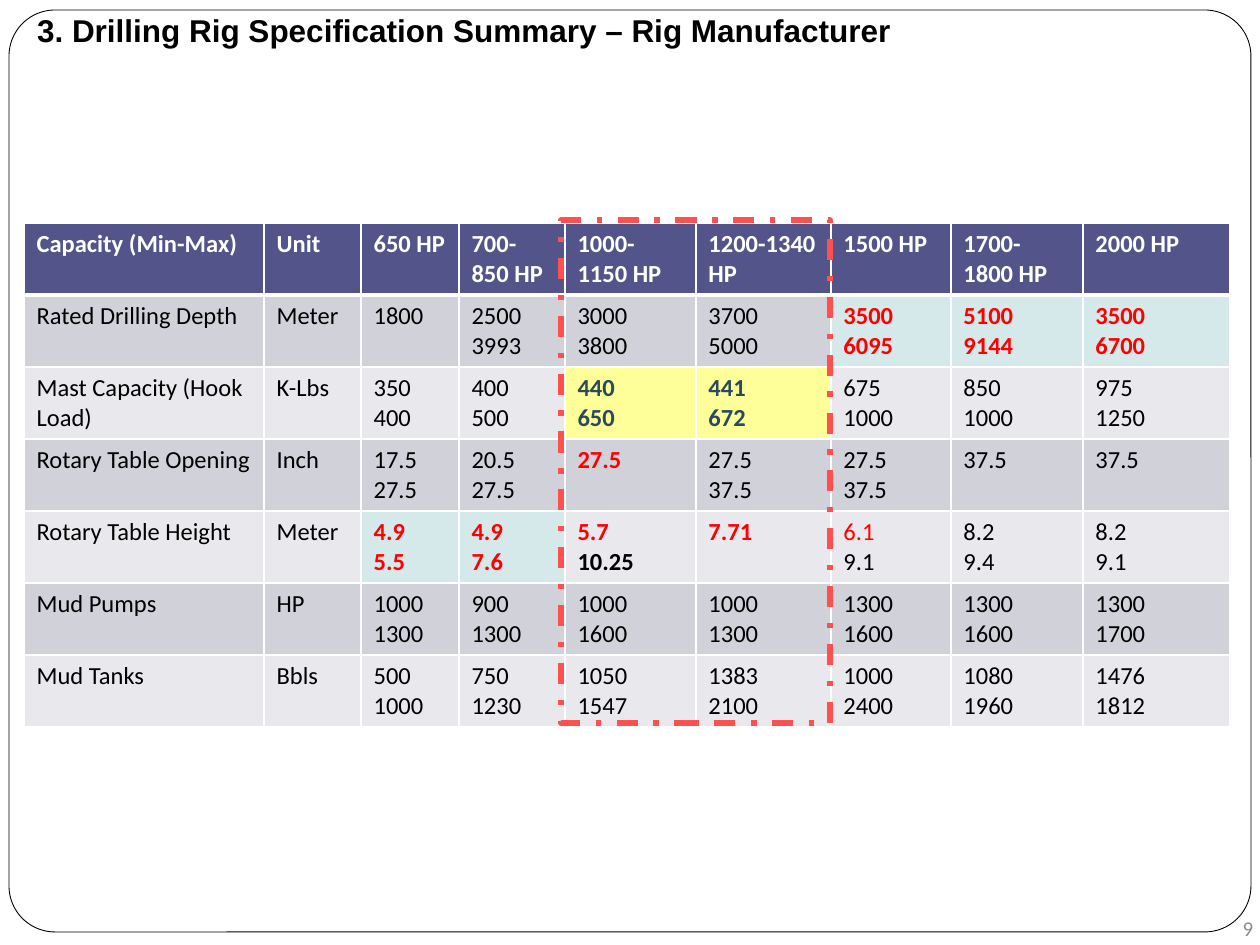
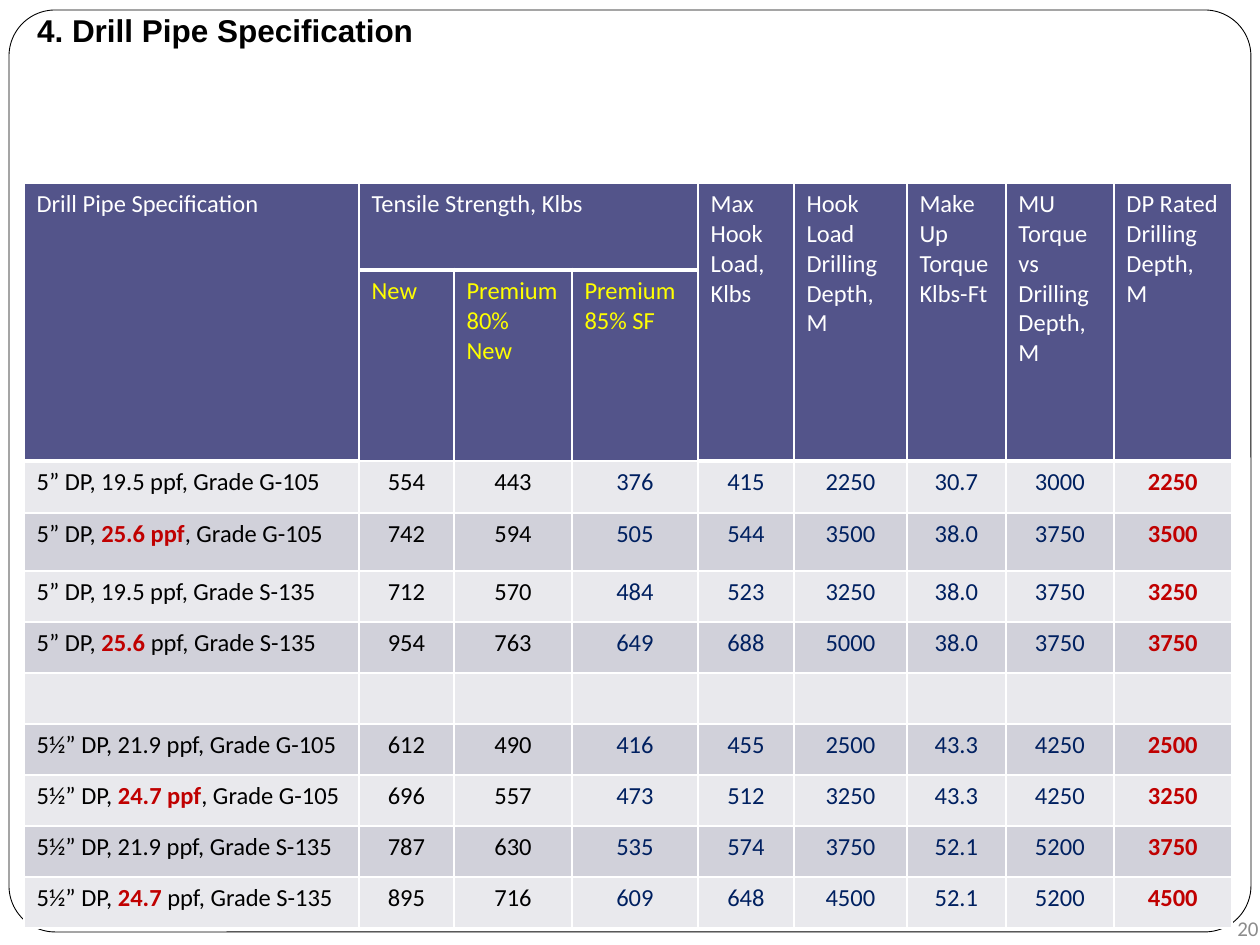
from lxml import etree
from pptx import Presentation
from pptx.dml.color import RGBColor
from pptx.enum.dml import MSO_LINE
from pptx.enum.shapes import MSO_SHAPE
from pptx.enum.text import MSO_ANCHOR, MSO_AUTO_SIZE, PP_ALIGN
from pptx.oxml.ns import qn
from pptx.util import Pt

EMU_PER_PX = 914400 / 126

WHITE = RGBColor(0xFF, 0xFF, 0xFF)
BLACK = RGBColor(0x00, 0x00, 0x00)
GREY = RGBColor(0x8C, 0x8C, 0x8C)
INDIGO = RGBColor(0x53, 0x54, 0x8A)
BAND_DARK = RGBColor(0xD1, 0xD1, 0xDA)
BAND_LIGHT = RGBColor(0xE9, 0xE9, 0xED)
TEAL = RGBColor(0xD6, 0xE9, 0xEA)
PALE_YELLOW = RGBColor(0xFF, 0xFF, 0x99)
YELLOW = RGBColor(0xFF, 0xFF, 0x00)
RED = RGBColor(0xFF, 0x00, 0x00)
CORAL = RGBColor(0xFF, 0x50, 0x50)
CRIMSON = RGBColor(0xC0, 0x00, 0x00)
SLATE = RGBColor(0x2B, 0x4A, 0x5E)
NAVY = RGBColor(0x00, 0x20, 0x60)

RIG_WIDTHS = [240, 97, 98, 106, 131, 135, 120, 132, 147]
RIG_ROWS = [
    ["Capacity (Min-Max)", "Unit", "650 HP", "700-850 HP", "1000-1150 HP",
     "1200-1340 HP", "1500 HP", "1700-1800 HP", "2000 HP"],
    ["Rated Drilling Depth", "Meter", "1800", "2500\n3993", "3000\n3800",
     "3700\n5000", "3500\n6095", "5100\n9144", "3500\n6700"],
    ["Mast Capacity (Hook Load)", "K-Lbs", "350\n400", "400\n500", "440\n650",
     "441\n672", "675\n1000", "850\n1000", "975\n1250"],
    ["Rotary Table Opening", "Inch", "17.5\n27.5", "20.5\n27.5", "27.5",
     "27.5\n37.5", "27.5\n37.5", "37.5", "37.5"],
    ["Rotary Table Height", "Meter", "4.9\n5.5", "4.9\n7.6", "5.7\n10.25",
     "7.71", "6.1\n9.1", "8.2\n9.4", "8.2\n9.1"],
    ["Mud Pumps", "HP", "1000\n1300", "900\n1300", "1000\n1600",
     "1000\n1300", "1300\n1600", "1300\n1600", "1300\n1700"],
    ["Mud Tanks", "Bbls", "500\n1000", "750\n1230", "1050\n1547",
     "1383\n2100", "1000\n2400", "1080\n1960", "1476\n1812"],
]
TEAL_CELLS = {(1, 6), (1, 7), (1, 8), (4, 2), (4, 3)}
YELLOW_CELLS = {(2, 4), (2, 5)}
RED_CELLS = {(3, 4), (4, 5)}

PIPE_WIDTHS = [335, 95, 118, 126, 96, 113, 99, 108, 118]
PIPE_HEIGHTS = [87, 191, 52, 58] + [51] * 7
# Text between asterisks is accented.
PIPE_ROWS = [
    ["Drill Pipe Specification", "Tensile Strength, Klbs", "", "",
     "Max Hook Load, Klbs", "Hook Load Drilling Depth, M",
     "Make Up Torque Klbs-Ft", "MU Torque vs Drilling Depth, M",
     "DP Rated Drilling Depth, M"],
    ["", "New", "Premium\n80% New", "Premium 85% SF"] + [""] * 5,
    ["5” DP, 19.5 ppf, Grade G-105",
     "554", "443", "376", "415", "2250", "30.7", "3000", "2250"],
    ["5” DP, *25.6 ppf*, Grade G-105",
     "742", "594", "505", "544", "3500", "38.0", "3750", "3500"],
    ["5” DP, 19.5 ppf, Grade S-135",
     "712", "570", "484", "523", "3250", "38.0", "3750", "3250"],
    ["5” DP, *25.6 *ppf, Grade S-135",
     "954", "763", "649", "688", "5000", "38.0", "3750", "3750"],
    [""] * 9,
    ["5½” DP, 21.9 ppf, Grade G-105",
     "612", "490", "416", "455", "2500", "43.3", "4250", "2500"],
    ["5½” DP, *24.7 ppf*, Grade G-105",
     "696", "557", "473", "512", "3250", "43.3", "4250", "3250"],
    ["5½” DP, 21.9 ppf, Grade S-135",
     "787", "630", "535", "574", "3750", "52.1", "5200", "3750"],
    ["5½” DP, *24.7 *ppf, Grade S-135",
     "895", "716", "609", "648", "4500", "52.1", "5200", "4500"],
]


def px(*lengths):
    return [round(length * EMU_PER_PX) for length in lengths]


def style_font(font, size, color, bold=False, name="Calibri"):
    font.name, font.size, font.bold = name, Pt(size), bold
    font.color.rgb = color


class Deck:
    def __init__(self):
        self.prs = Presentation()
        self.prs.slide_width, self.prs.slide_height = px(1260, 945)
        self.slide = None

    def add_slide(self, heading, number):
        self.slide = self.prs.slides.add_slide(self.prs.slide_layouts[5])
        self.title(heading)
        frame = self.outline(MSO_SHAPE.ROUNDED_RECTANGLE, (9, 10, 1242, 922), BLACK, 0.5)
        frame.adjustments[0] = 0.05
        frame.fill.solid()
        frame.fill.fore_color.rgb = WHITE
        self.slide.shapes.title.element.addprevious(frame.element)
        self.page_number(number)

    def title(self, heading):
        title = self.slide.shapes.title
        title.left, title.top, title.width, title.height = px(25, 6, 1071, 61)
        text = title.text_frame
        text.text = heading
        text.auto_size = MSO_AUTO_SIZE.NONE
        text.vertical_anchor = MSO_ANCHOR.MIDDLE
        text.margin_left, text.margin_top, text.margin_right, text.margin_bottom = px(12, 6, 12, 12)
        paragraph = text.paragraphs[0]
        paragraph.alignment = PP_ALIGN.JUSTIFY
        paragraph.line_spacing = 0.8
        style_font(paragraph.runs[0].font, 18, BLACK, True, "Arial")

    def outline(self, kind, box, color, weight):
        """Add an unfilled preset shape with a line."""
        shape = self.slide.shapes.add_shape(kind, *px(*box))
        shape.shadow.inherit = False
        shape.fill.background()
        shape.line.color.rgb = color
        shape.line.width = Pt(weight)
        return shape

    def page_number(self, number):
        text = self.slide.shapes.add_textbox(*px(1236, 911, 24, 34)).text_frame
        text.text = str(number)
        text.word_wrap = False
        text.vertical_anchor = MSO_ANCHOR.MIDDLE
        text.margin_left = text.margin_top = text.margin_right = text.margin_bottom = 0
        text.paragraphs[0].alignment = PP_ALIGN.CENTER
        style_font(text.paragraphs[0].runs[0].font, 12, GREY)

    def table(self, left, top, widths, heights):
        box = px(left, top, sum(widths), sum(heights))
        table = self.slide.shapes.add_table(len(heights), len(widths), *box).table
        for column, width in zip(table.columns, px(*widths)):
            column.width = width
        for row, height in zip(table.rows, px(*heights)):
            row.height = height
        return table

    def cell(self, cell, text, fill, color=BLACK, bold=False, align=PP_ALIGN.LEFT):
        cell.fill.solid()
        cell.fill.fore_color.rgb = fill
        if not text:
            return
        cell.text_frame.text = text
        for paragraph in cell.text_frame.paragraphs:
            paragraph.alignment = align
            parts = paragraph.text.split("*")
            paragraph.text = parts[0]
            for part in parts[1:]:
                paragraph.add_run().text = part
            for i, run in enumerate(paragraph.runs):
                accented = i % 2 == 1
                style_font(run.font, 14, CRIMSON if accented else color, accented or bold)

    def header_cell(self, cell, text, color=WHITE, bold=False, rule=3):
        """Fill a header cell and draw its borders, with a bottom rule in points."""
        self.cell(cell, text, INDIGO, color, bold)
        properties = cell._tc.get_or_add_tcPr()
        for i, (side, weight) in enumerate([("L", 1), ("R", 1), ("T", 1), ("B", rule)]):
            border = etree.Element(qn(f"a:ln{side}"), w=str(Pt(weight)))
            fill = etree.SubElement(border, qn("a:solidFill"))
            etree.SubElement(fill, qn("a:srgbClr"), val=str(WHITE))
            properties.insert(i, border)


def band(row):
    return BAND_DARK if row % 2 else BAND_LIGHT


def rig_style(row, col):
    """Return fill, text color and bold of a body cell."""
    if (row, col) in TEAL_CELLS:
        return TEAL, RED, True
    if (row, col) in YELLOW_CELLS:
        return PALE_YELLOW, SLATE, True
    if (row, col) in RED_CELLS:
        return band(row), RED, True
    return band(row), BLACK, (row, col) == (4, 4)


def rig_slide(deck):
    deck.add_slide("3. Drilling Rig Specification Summary – Rig Manufacturer", 9)
    rigs = deck.table(24, 223, RIG_WIDTHS, [72] * len(RIG_ROWS))
    for r, values in enumerate(RIG_ROWS):
        for c, value in enumerate(values):
            if r == 0:
                deck.header_cell(rigs.cell(r, c), value, bold=True)
            else:
                deck.cell(rigs.cell(r, c), value, *rig_style(r, c))
    for col in (4, 6):
        minimum_height = rigs.cell(4, col).text_frame.paragraphs[0].runs[0]
        minimum_height.font.color.rgb = RED
    focus = deck.outline(MSO_SHAPE.RECTANGLE, (561, 220, 269, 503), CORAL, 3)
    focus.line.dash_style = MSO_LINE.DASH_DOT


def pipe_slide(deck):
    deck.add_slide("4. Drill Pipe Specification", 20)
    pipes = deck.table(24, 183, PIPE_WIDTHS, PIPE_HEIGHTS)
    pipes.cell(0, 1).merge(pipes.cell(0, 3))
    for col in (0, 4, 5, 6, 7, 8):
        pipes.cell(0, col).merge(pipes.cell(1, col))
    column_colors = [BLACK] * 3 + [NAVY] * 5 + [CRIMSON]
    for r, values in enumerate(PIPE_ROWS):
        for c, value in enumerate(values):
            cell = pipes.cell(r, c)
            if r == 0:
                deck.header_cell(cell, value)
            elif r == 1:
                deck.header_cell(cell, value, YELLOW, rule=3 if cell.is_spanned else 1)
            else:
                deck.cell(cell, value, band(r), column_colors[c], c == 8,
                          PP_ALIGN.CENTER if c else PP_ALIGN.LEFT)


def main():
    deck = Deck()
    rig_slide(deck)
    pipe_slide(deck)
    deck.prs.save("out.pptx")


if __name__ == "__main__":
    main()
